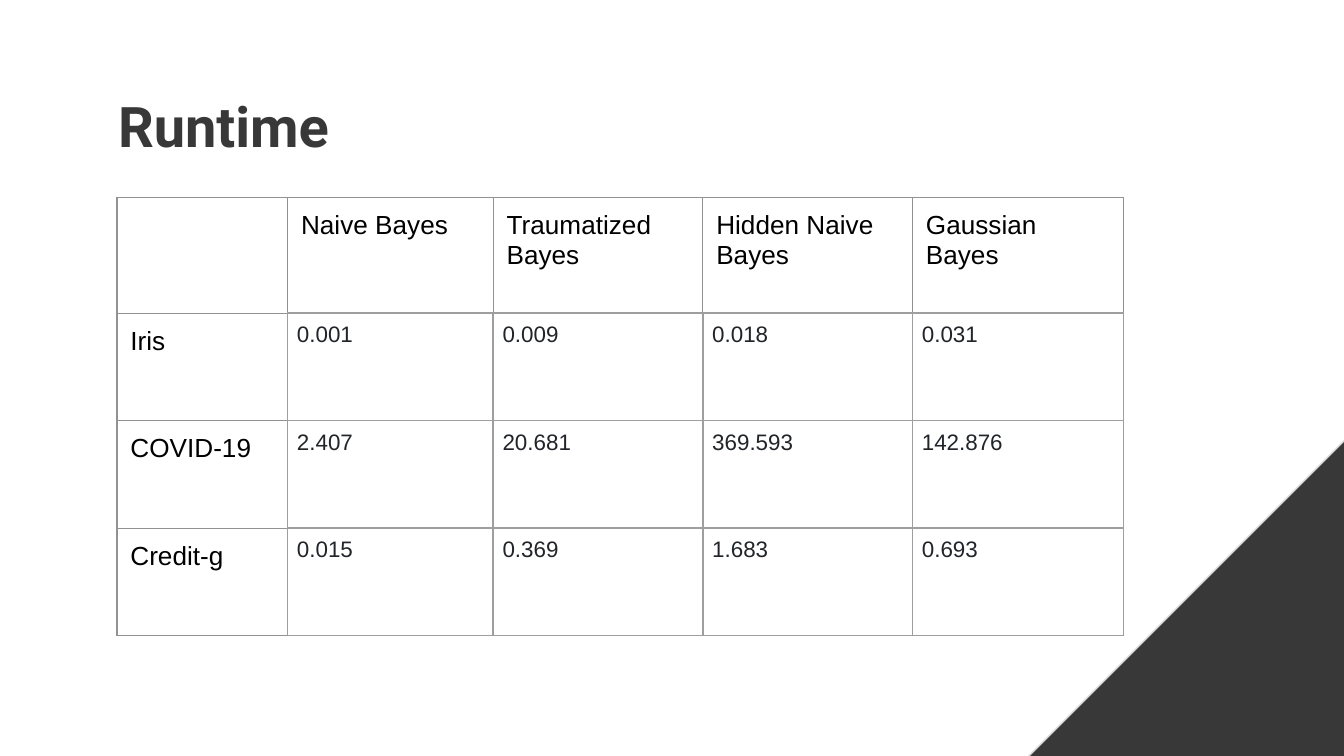
from pptx import Presentation
from pptx import util as u
from pptx.dml.color import RGBColor
from pptx.enum import shapes, text
from pptx.oxml import parse_xml
from pptx.oxml.ns import nsdecls


def hue(value):
    return RGBColor.from_string(value)


def style(run, font_name, size, color, bold=False):
    run.font.name = font_name
    run.font.size = u.Pt(size)
    run.font.bold = bold
    run.font.color.rgb = hue(color)


deck = Presentation()
deck.slide_width = u.Inches(10)
deck.slide_height = u.Inches(5.625)
unit = deck.slide_width // 100
slide = deck.slides.add_slide(deck.slide_layouts[6])
slide.background.fill.solid()
slide.background.fill.fore_color.rgb = hue("FFFFFF")

corner_side = int(52.5 * unit)
corner = slide.shapes.add_shape(
    shapes.MSO_SHAPE.RIGHT_TRIANGLE,
    int(63.5 * unit), int(16.8 * unit), corner_side, corner_side)
corner.rotation = 270
corner.shadow.inherit = False
corner.fill.solid()
corner.fill.fore_color.rgb = hue("383838")
corner.line.color.rgb = hue("DBDBDB")
corner.line.width = u.Pt(0.75)

title = slide.shapes.add_textbox(
    int(7.8 * unit), int(5.8 * unit), int(71.1 * unit), int(5.8 * unit)).text_frame
title.word_wrap = True
title.vertical_anchor = text.MSO_ANCHOR.TOP
title.margin_left = title.margin_right = title.margin_top = title.margin_bottom = unit
title.text = "Runtime"
style(title.paragraphs[0].runs[0], "Roboto", 30, "383838", True)

runtimes = [
    ["", "Naive Bayes", "Traumatized Bayes", "Hidden Naive Bayes", "Gaussian Bayes"],
    ["Iris", "0.001", "0.009", "0.018", "0.031"],
    ["COVID-19", "2.407", "20.681", "369.593", "142.876"],
    ["Credit-g", "0.015", "0.369", "1.683", "0.693"],
]
column_widths = [12.7, 15.3, 15.6, 15.6, 15.7]
row_heights = [8.6, 8, 8, 8]

grid = slide.shapes.add_table(
    len(row_heights), len(column_widths), int(8.7 * unit), int(14.7 * unit),
    int(sum(column_widths) * unit), int(sum(row_heights) * unit)).table
grid.first_row = False
grid.horz_banding = False
for column, width in zip(grid.columns, column_widths):
    column.width = int(width * unit)
for row, height in zip(grid.rows, row_heights):
    row.height = int(height * unit)

for r, values in enumerate(runtimes):
    for c, value in enumerate(values):
        is_measure = r > 0 and c > 0
        cell = grid.cell(r, c)
        cell.fill.background()
        inset = int((0.7 if is_measure else 1) * unit)
        cell.margin_left = cell.margin_right = cell.margin_top = cell.margin_bottom = inset
        cell.text = value
        for run in cell.text_frame.paragraphs[0].runs:
            style(run, "Arial", 12 if is_measure else 14,
                  "212529" if is_measure else "000000")
        for position, side in enumerate("LRTB"):
            meets_measure = (is_measure or (side == "R" and r > 0)
                             or (side == "B" and c > 0))
            color, points = ("9E9E9E", 1) if meets_measure else ("929292", 0.75)
            cell._tc.get_or_add_tcPr().insert(position, parse_xml(
                f'<a:ln{side} {nsdecls("a")} w="{u.Pt(points)}"><a:solidFill>'
                f'<a:srgbClr val="{color}"/></a:solidFill></a:ln{side}>'))

deck.save("out.pptx")
